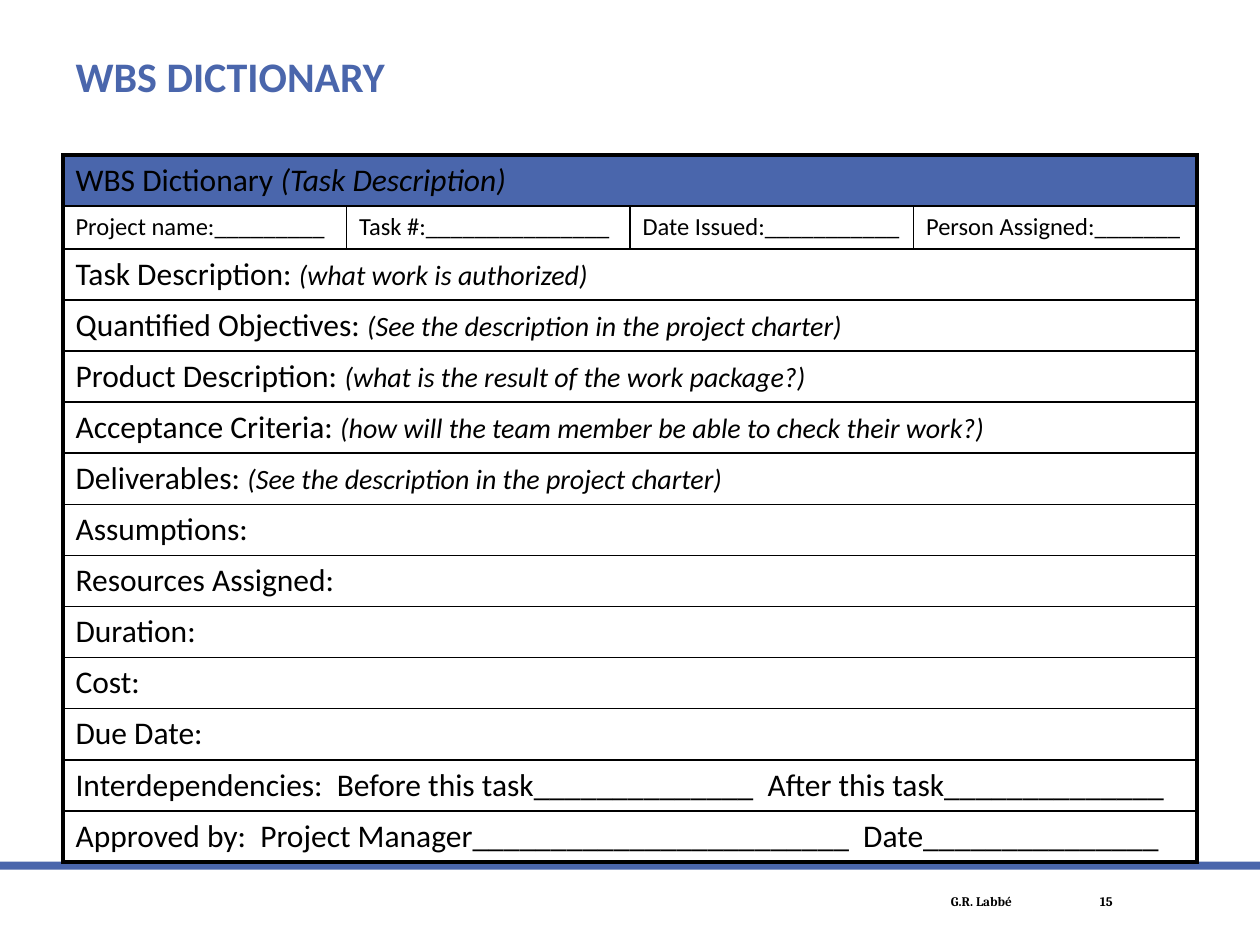
import pptx
import pptx.dml.color
import pptx.enum.shapes
import pptx.enum.text
import pptx.oxml
import pptx.oxml.ns
import pptx.util

Pt = pptx.util.Pt
ALIGN = pptx.enum.text.PP_ALIGN
ANCHOR = pptx.enum.text.MSO_ANCHOR

BLUE = "4A66AC"
BLACK = "000000"
COLUMNS = 4
COLUMN_WIDTH = 162
FIELD_HEIGHT = 29.2
IDENTITY_HEIGHT = 24.4
THICK, THIN = 2.25, 1

IDENTITY_FIELDS = [
    "Project name:_________",
    "Task #:_______________",
    "Date Issued:___________",
    "Person Assigned:_______",
]
FIELDS = [
    ("Task Description: ", "(what work is authorized)"),
    ("Quantified Objectives: ", "(See the description in the project charter)"),
    ("Product Description: ", "(what is the result of the work package?)"),
    ("Acceptance Criteria: ", "(how will the team member be able to check their work?)"),
    ("Deliverables: ", "(See the description in the project charter)"),
    ("Assumptions:", ""),
    ("Resources Assigned:", ""),
    ("Duration:", ""),
    ("Cost:", ""),
    ("Due Date:", ""),
    ("Interdependencies:  Before this task______________  After this task______________", ""),
    ("Approved by:  Project Manager________________________  Date_______________", ""),
]


def color(value):
    return pptx.dml.color.RGBColor.from_string(value)


def apply(target, formats):
    for attribute, value in formats.items():
        setattr(target, attribute, value)


def write(paragraph, text, size, font="Calibri", ink=BLACK, bold=False, italic=False):
    run = paragraph.add_run()
    run.text = text
    apply(run.font, {"name": font, "size": Pt(size), "bold": bold, "italic": italic})
    run.font.color.rgb = color(ink)


def add_title(slide, text):
    title = slide.shapes.title
    apply(title, {"left": Pt(36), "top": Pt(28.8), "width": Pt(648), "height": Pt(33)})
    apply(title.text_frame, {
        "vertical_anchor": ANCHOR.BOTTOM,
        "word_wrap": True,
        "auto_size": pptx.enum.text.MSO_AUTO_SIZE.NONE,
    })
    heading = title.text_frame.paragraphs[0]
    apply(heading, {"alignment": ALIGN.LEFT, "line_spacing": 0.9})
    write(heading, text, 24, ink=BLUE, bold=True)


def add_footer_bar(slide):
    bar = slide.shapes.add_shape(
        pptx.enum.shapes.MSO_SHAPE.RECTANGLE, 0, Pt(492.4), Pt(720), Pt(4.6))
    bar.shadow.inherit = False
    bar.fill.solid()
    bar.fill.fore_color.rgb = color(BLUE)
    bar.line.fill.background()


def add_footer_text(slide, text, left, width):
    footer = slide.shapes.add_textbox(Pt(left), Pt(505.4), Pt(width), Pt(18.7))
    apply(footer.text_frame, {"word_wrap": True, "vertical_anchor": ANCHOR.MIDDLE})
    line = footer.text_frame.paragraphs[0]
    line.alignment = ALIGN.RIGHT
    write(line, text, 7.5, font="Cambria", bold=True)


def set_borders(cell, widths):
    properties = cell._tc.get_or_add_tcPr()
    for side, width in widths.items():
        properties.append(pptx.oxml.parse_xml(
            f'<a:ln{side} {pptx.oxml.ns.nsdecls("a")} w="{int(Pt(width))}">'
            f'<a:solidFill><a:srgbClr val="{BLACK}"/></a:solidFill></a:ln{side}>'))


def format_grid(table):
    last_row, last_column = len(table.rows) - 1, COLUMNS - 1
    for r in range(last_row + 1):
        for c in range(COLUMNS):
            cell = table.cell(r, c)
            spanned = r != 1
            widths = {}
            if c == 0 or not spanned:
                widths["L"] = THICK if c == 0 else THIN
            if c == last_column or c == 0 or not spanned:
                widths["R"] = THICK if spanned or c == last_column else THIN
            widths["T"] = THICK if r == 0 else THIN
            widths["B"] = THICK if r == last_row else THIN
            set_borders(cell, widths)
            if r == 0:
                cell.fill.solid()
                cell.fill.fore_color.rgb = color(BLUE)
            else:
                cell.fill.background()


def fill_wide_row(table, row, label, hint, hint_size):
    field = table.cell(row, 0)
    field.merge(table.cell(row, COLUMNS - 1))
    line = field.text_frame.paragraphs[0]
    write(line, label, 18)
    if hint:
        write(line, hint, hint_size, italic=True)


def add_dictionary(slide):
    row_count = len(FIELDS) + 2
    height = FIELD_HEIGHT * (row_count - 1) + IDENTITY_HEIGHT
    table = slide.shapes.add_table(
        row_count, COLUMNS, Pt(36), Pt(88.6), Pt(COLUMN_WIDTH * COLUMNS), Pt(height)).table
    apply(table, {"first_row": False, "horz_banding": False})
    for row in table.rows:
        row.height = Pt(FIELD_HEIGHT)
    table.rows[1].height = Pt(IDENTITY_HEIGHT)
    format_grid(table)
    fill_wide_row(table, 0, "WBS Dictionary ", "(Task Description)", 18)
    for column, label in enumerate(IDENTITY_FIELDS):
        write(table.cell(1, column).text_frame.paragraphs[0], label, 14)
    for row, (label, hint) in enumerate(FIELDS, start=2):
        fill_wide_row(table, row, label, hint, 16)


def main():
    deck = pptx.Presentation()
    apply(deck, {"slide_width": Pt(720), "slide_height": Pt(540)})
    slide = deck.slides.add_slide(deck.slide_layouts[5])
    add_footer_bar(slide)
    add_title(slide, "WBS DICTIONARY")
    add_dictionary(slide)
    add_footer_text(slide, "15", 602, 41)
    add_footer_text(slide, "G.R. Labbé", 505.4, 80)
    deck.save("out.pptx")


if __name__ == "__main__":
    main()
